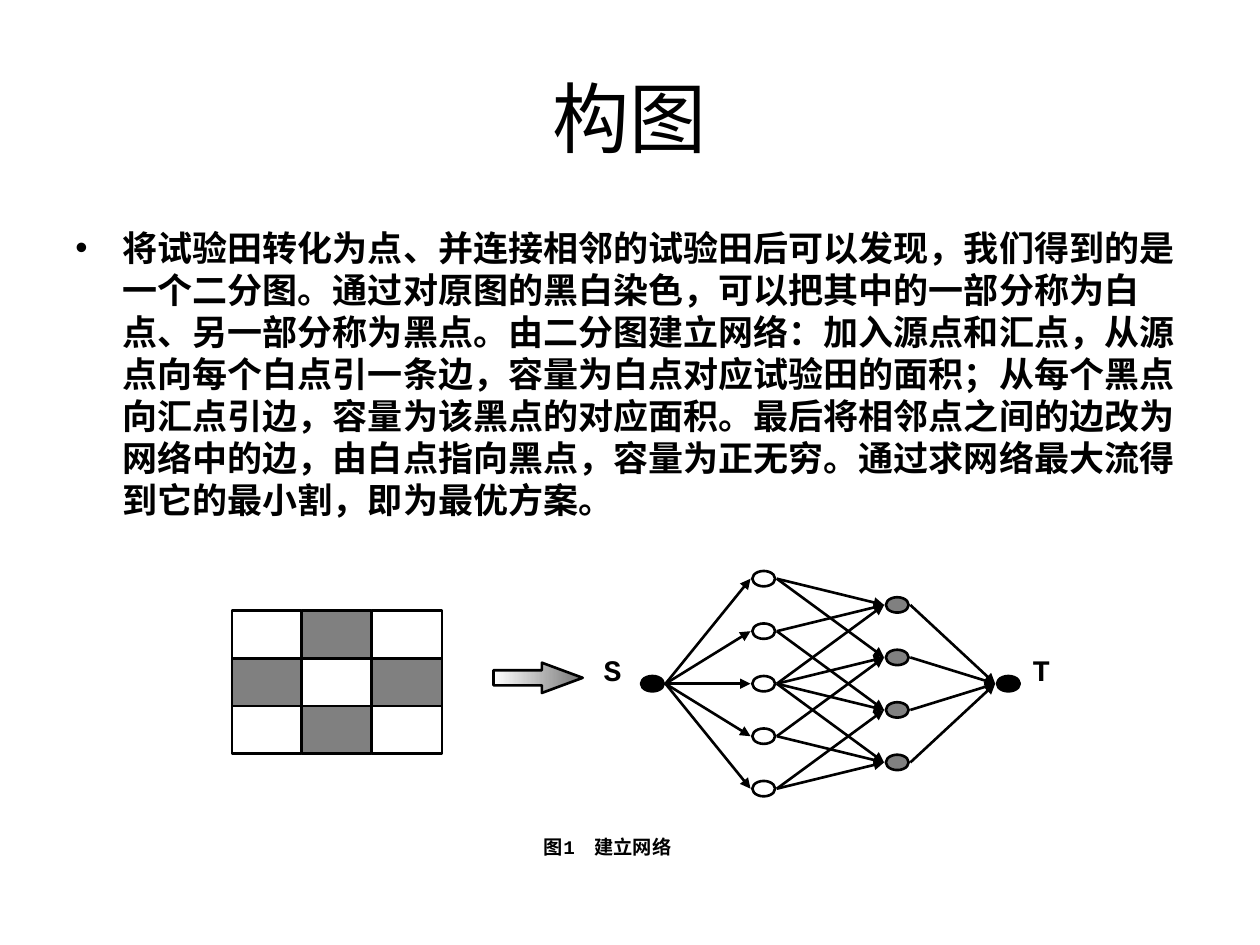
import pptx
import pptx.dml.color
import pptx.enum.dml
import pptx.enum.shapes
import pptx.enum.text
import pptx.oxml
import pptx.oxml.ns
import pptx.util
from lxml import etree

Pt = pptx.util.Pt
SHAPES = pptx.enum.shapes.MSO_SHAPE
ALIGN = pptx.enum.text.PP_ALIGN
ANCHOR = pptx.enum.text.MSO_ANCHOR
qn = pptx.oxml.ns.qn

BLACK, WHITE, GRAY = "000000", "FFFFFF", "808080"
LINE_WIDTH = 1.5
TITLE = "构图"
BODY = (
    "将试验田转化为点、并连接相邻的试验田后可以发现，我们得到的是一个二分图。"
    "通过对原图的黑白染色，可以把其中的一部分称为白点、另一部分称为黑点。"
    "由二分图建立网络：加入源点和汇点，从源点向每个白点引一条边，容量为白点对应试验田的面积；"
    "从每个黑点向汇点引边，容量为该黑点的对应面积。"
    "最后将相邻点之间的边改为网络中的边，由白点指向黑点，容量为正无穷。"
    "通过求网络最大流得到它的最小割，即为最优方案。"
)
NEIGHBOURS = [(0, 1), (0, 2), (0, 1, 2, 3), (1, 3), (2, 3)]


def color(value):
    return pptx.dml.color.RGBColor.from_string(value)


def add_text(slide, box, text, size, font="Calibri", bold=False, align=ALIGN.LEFT,
             anchor=ANCHOR.TOP, line_spacing=None, space_before=0):
    shape = slide.shapes.add_textbox(*map(Pt, box))
    frame = shape.text_frame
    frame.word_wrap = True
    frame.vertical_anchor = anchor
    paragraph = frame.paragraphs[0]
    paragraph.alignment = align
    paragraph.space_before = Pt(space_before)
    if line_spacing:
        paragraph.line_spacing = line_spacing
    run = paragraph.add_run()
    run.text = text
    run.font.size = Pt(size)
    run.font.name = font
    run.font.bold = bold
    run.font.color.rgb = color(BLACK)
    return paragraph


def add_bullet(paragraph, indent):
    properties = paragraph._p.get_or_add_pPr()
    properties.set("marL", str(Pt(indent)))
    properties.set("indent", str(-Pt(indent)))
    properties.set("hangingPunct", "0")
    bullet_color = etree.SubElement(properties, qn("a:buClr"))
    etree.SubElement(bullet_color, qn("a:srgbClr"), val=BLACK)
    etree.SubElement(properties, qn("a:buFont"), typeface="Arial")
    etree.SubElement(properties, qn("a:buChar"), char="•")


def add_outlined(slide, kind, box, fill):
    shape = slide.shapes.add_shape(kind, *map(Pt, box))
    shape.shadow.inherit = False
    shape.fill.solid()
    shape.fill.fore_color.rgb = color(fill)
    shape.line.color.rgb = color(BLACK)
    shape.line.width = Pt(LINE_WIDTH)
    return shape


def add_arrow(slide, start, end):
    connector = slide.shapes.add_connector(
        pptx.enum.shapes.MSO_CONNECTOR.STRAIGHT, *map(Pt, (*start, *end)))
    connector.line.color.rgb = color(BLACK)
    connector.line.width = Pt(LINE_WIDTH)
    etree.SubElement(connector.line._get_or_add_ln(), qn("a:tailEnd"), type="triangle")
    etree.SubElement(connector._element.spPr, qn("a:effectLst"))


def add_field(slide, left, top, width, height):
    cell_width, cell_height = width / 3, height / 3
    for row in range(3):
        for column in range(3):
            box = (left + column * cell_width, top + row * cell_height, cell_width, cell_height)
            add_outlined(slide, SHAPES.RECTANGLE, box, GRAY if (row + column) % 2 else WHITE)


def add_transition(slide, box):
    shape = add_outlined(slide, SHAPES.RIGHT_ARROW, box, WHITE)
    shape.adjustments[0] = 0.5
    shape.adjustments[1] = 1.35
    shape.fill.gradient()
    shape.fill.gradient_angle = 0
    for stop, position, value in zip(shape.fill.gradient_stops, (0, 1), (WHITE, "767676")):
        stop.position = position
        stop.color.rgb = color(value)


def add_network(slide, left, top, width, height):
    node_width, node_height, reach = 13, 8.8, 7.5
    step = height / 4
    middle = top + height / 2
    source, sink = (left, middle), (left + width, middle)
    white_nodes = [(left + 63.6, top + step * row) for row in range(5)]
    black_nodes = [(left + 139.9, top + step * (row + 0.5)) for row in range(4)]

    for nodes, fill in ((white_nodes, WHITE), (black_nodes, GRAY), ([source, sink], BLACK)):
        for x, y in nodes:
            box = (x - node_width / 2, y - node_height / 2, node_width, node_height)
            add_outlined(slide, SHAPES.FLOWCHART_CONNECTOR, box, fill)

    edges = [(source, node) for node in white_nodes]
    edges += [(node, sink) for node in black_nodes]
    edges += [(white_nodes[index], black_nodes[target])
              for index, targets in enumerate(NEIGHBOURS) for target in targets]
    for (start_x, start_y), (end_x, end_y) in edges:
        add_arrow(slide, (start_x + reach, start_y), (end_x - reach, end_y))

    for label, x in (("S", left - 35), ("T", left + width + 6.7)):
        add_text(slide, (x, middle - 19.5, 30, 30), label, 17, font="Courier New",
                 bold=True, line_spacing=0.9)


def build_slide(presentation):
    slide = presentation.slides.add_slide(presentation.slide_layouts[6])
    add_text(slide, (36, 21.6, 648, 90), TITLE, 44, align=ALIGN.CENTER, anchor=ANCHOR.MIDDLE)
    body = add_text(slide, (36, 126, 648, 356.4), BODY, 20, bold=True, space_before=5)
    add_bullet(body, 27)
    add_field(slide, 132.5, 349, 120, 81.6)
    add_transition(slide, (282, 378.7, 51, 17.3))
    add_network(slide, 372.8, 330.7, 203.4, 120)
    add_text(slide, (264.5, 476.5, 165.6, 22.3), "图1　建立网络", 11, font="Courier New",
             bold=True, align=ALIGN.CENTER, line_spacing=0.8)


def main():
    presentation = pptx.Presentation()
    presentation.slide_width = Pt(720)
    presentation.slide_height = Pt(540)
    build_slide(presentation)
    presentation.save("out.pptx")


if __name__ == "__main__":
    main()
